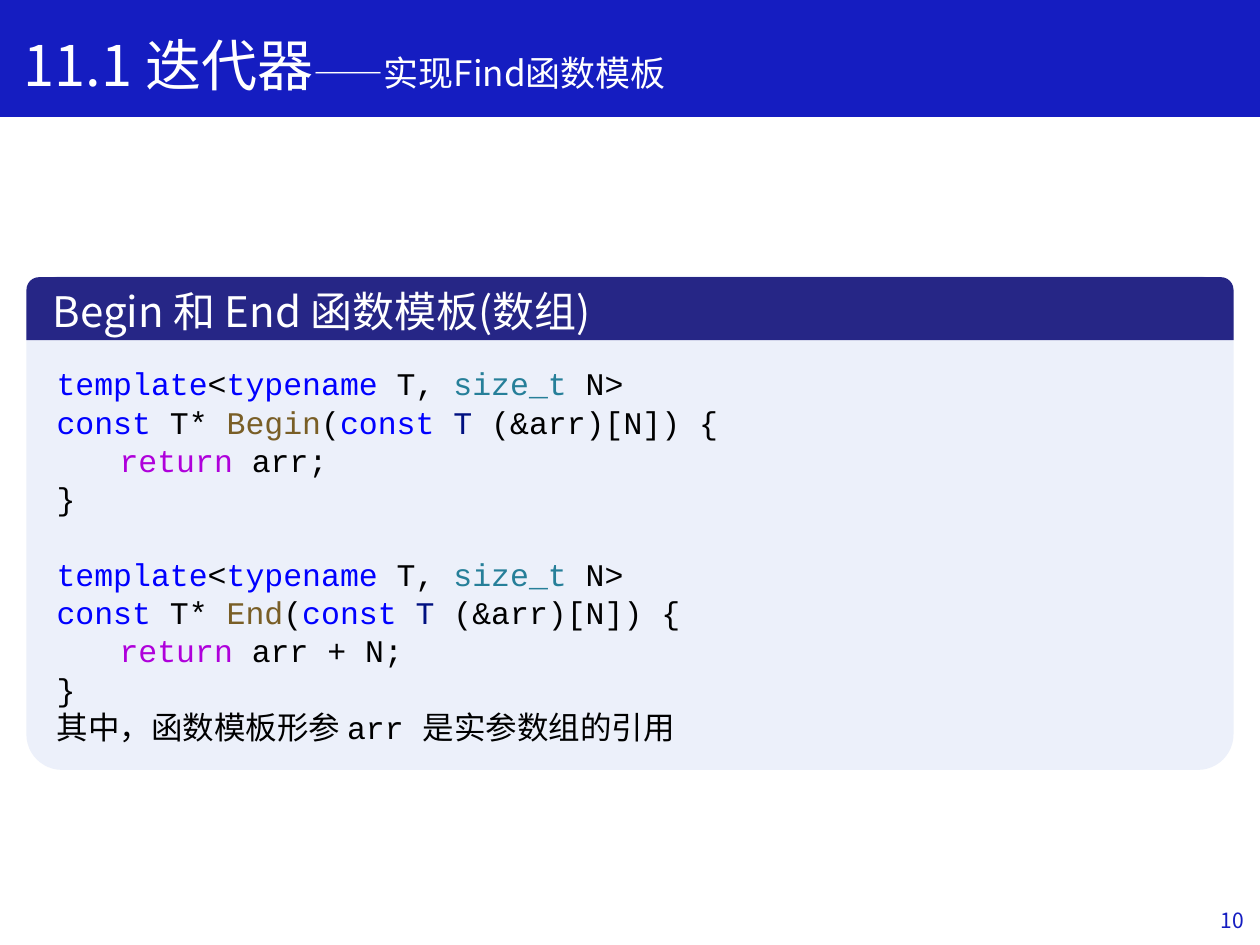
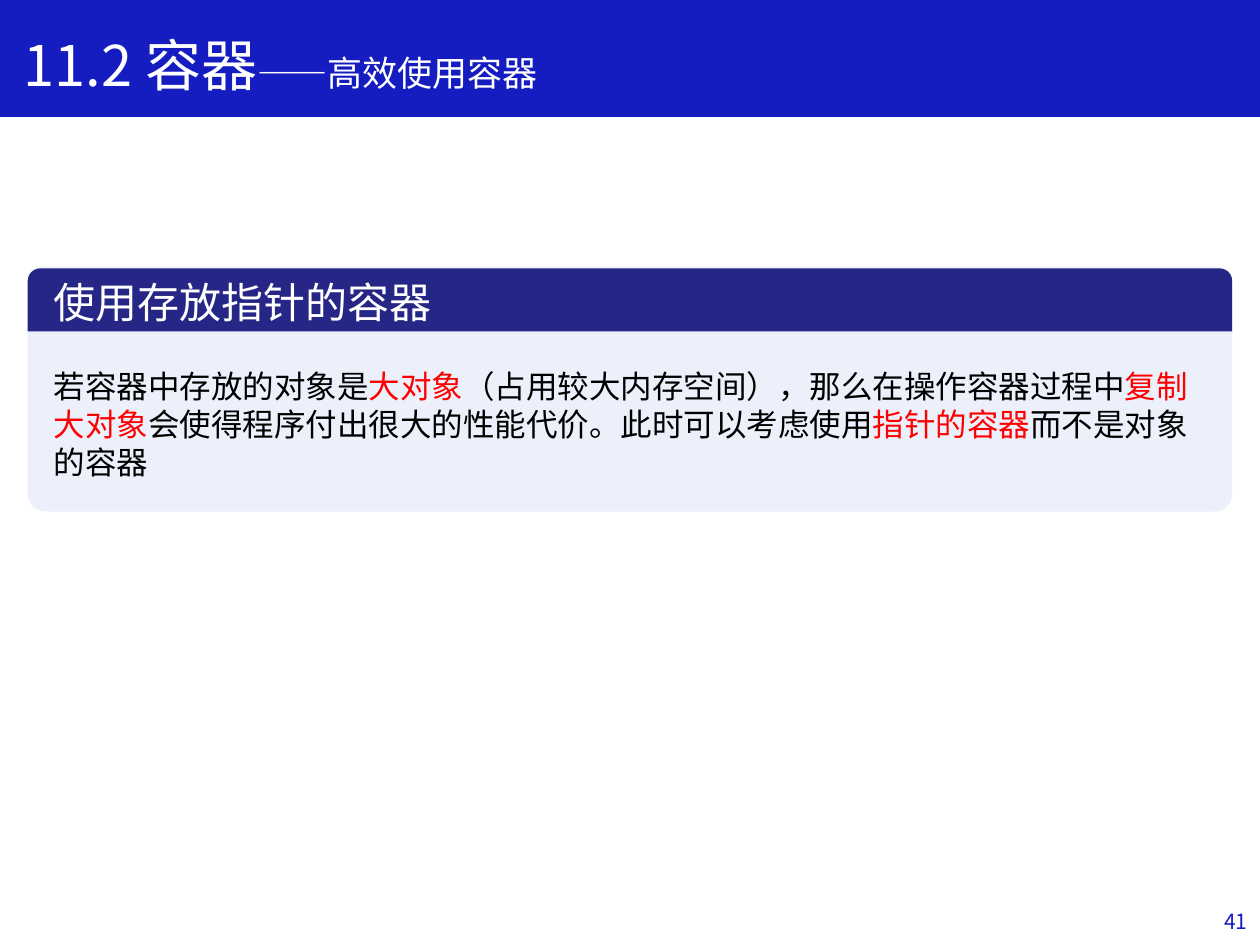
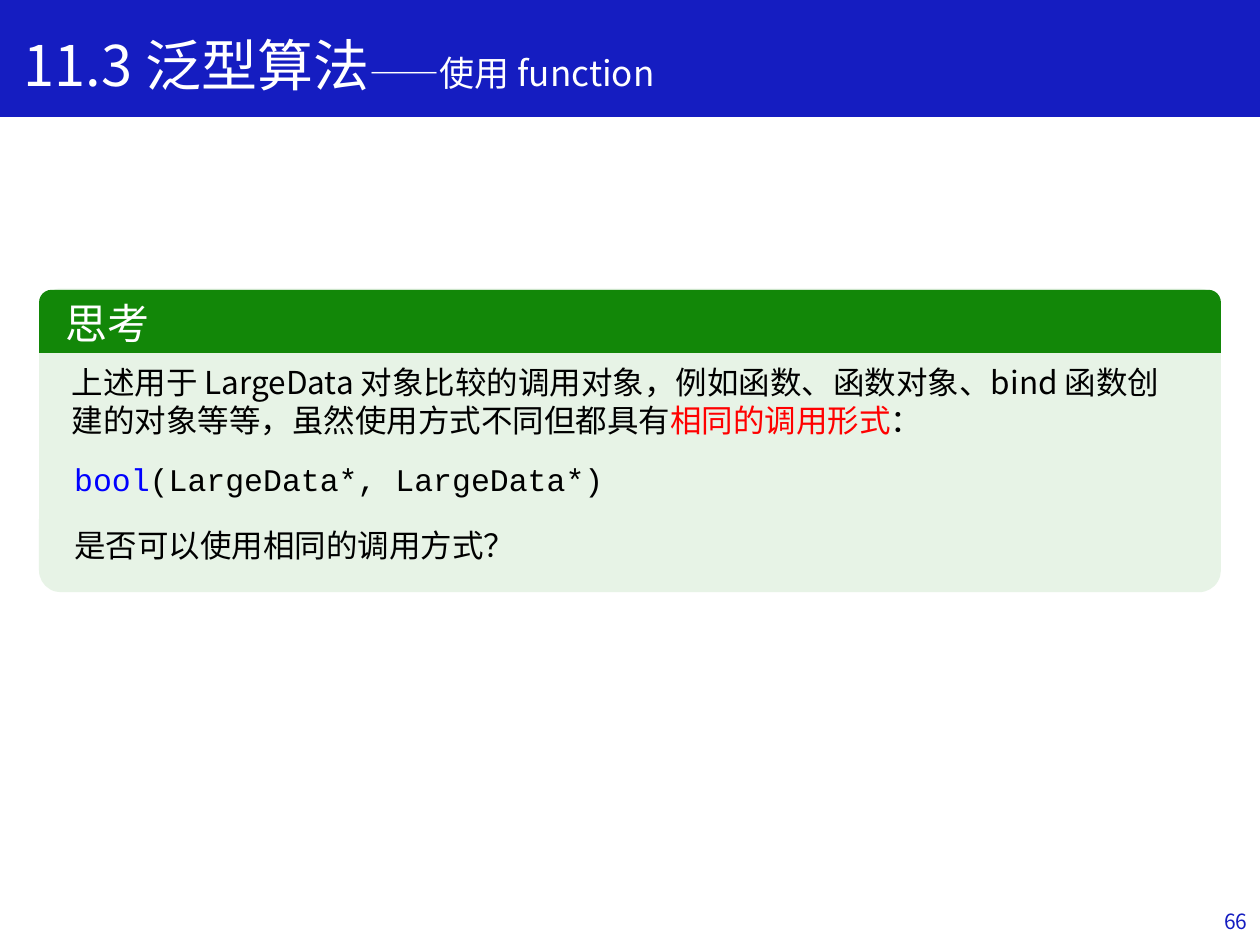
from dataclasses import dataclass

from lxml.etree import SubElement
from pptx import Presentation
from pptx.dml.color import RGBColor
from pptx.enum.shapes import MSO_SHAPE
from pptx.enum.text import MSO_ANCHOR, PP_ALIGN
from pptx.oxml.ns import qn
from pptx.util import Inches, Pt


@dataclass(frozen=True)
class Theme:
    """Colours, fonts and type sizes shared by the slides."""
    band: str = "151DC1"
    white: str = "FFFFFF"
    black: str = "000000"
    red: str = "FF0000"
    navy: str = "262686"
    pale_blue: str = "ECF0FA"
    green: str = "128708"
    pale_green: str = "E7F3E6"
    keyword: str = "0000FF"
    type_name: str = "267F99"
    function: str = "795E26"
    parameter: str = "001080"
    control: str = "AF00DB"
    sans: str = "Noto Sans CJK SC"
    mono: str = "Courier New"
    title: int = 32
    heading: int = 24
    subtitle: int = 20
    body: int = 18
    footer: int = 12
    leading: float = 1.21


T = Theme()


def add_run(p, text, size, color, font):
    """Append a formatted run, with the sans font for East Asian letters."""
    r = p.add_run()
    r.text = text
    r.font.size = Pt(size)
    r.font.name = font
    r.font.color.rgb = RGBColor.from_string(color)
    SubElement(r._r.get_or_add_rPr(), qn("a:ea"), typeface=T.sans)


def add_tab_stop(p, position):
    """Give a paragraph one left tab stop."""
    tabs = SubElement(p._p.get_or_add_pPr(), qn("a:tabLst"))
    SubElement(tabs, qn("a:tab"), pos=str(position), algn="l")


def add_text(s, lines, x, y, w, h, size=T.body, color=T.black, font=T.sans,
             align=PP_ALIGN.LEFT, anchor=MSO_ANCHOR.TOP, wrap=True, gaps=()):
    """Add a text box; a line is a list of (text, color, size) with the last two optional."""
    tf = s.shapes.add_textbox(Inches(x), Inches(y), Inches(w), Inches(h)).text_frame
    tf.word_wrap = wrap
    tf.vertical_anchor = anchor
    tf.margin_top = Inches(0.07)
    for i, line in enumerate(lines):
        p = tf.paragraphs[0] if i == 0 else tf.add_paragraph()
        p.alignment = align
        p.line_spacing = Pt(round(size * T.leading, 1))
        if i in gaps:
            p.space_before = p.line_spacing
        if line[0][0].startswith("\t"):
            add_tab_stop(p, Inches(0.5))
        for text, *style in line:
            run_color = style[0] if style else color
            run_size = style[1] if len(style) > 1 else size
            add_run(p, text, run_size, run_color, font)


def add_panel(s, kind, x, y, w, h, fill, adjustments=()):
    """Add a plain filled shape."""
    sp = s.shapes.add_shape(kind, Inches(x), Inches(y), Inches(w), Inches(h))
    sp.shadow.inherit = False
    sp.fill.solid()
    sp.fill.fore_color.rgb = RGBColor.from_string(fill)
    sp.line.fill.background()
    for i, value in enumerate(adjustments):
        sp.adjustments[i] = value
    return sp


def add_slide(prs, title, subtitle, number, number_at=(7.75, 7.1)):
    """Add a slide with its title band and page number."""
    s = prs.slides.add_slide(prs.slide_layouts[6])
    band = add_panel(s, MSO_SHAPE.RECTANGLE, 0, 0, 10, 0.92, T.band)
    band.line.color.rgb = RGBColor.from_string(T.band)
    band.line.width = Pt(1)
    add_text(s, [[(str(number),)]], *number_at, 2.25, 0.4, size=T.footer, color=T.band,
             align=PP_ALIGN.RIGHT, anchor=MSO_ANCHOR.MIDDLE)
    add_text(s, [[(title,), ("——" + subtitle, T.white, T.subtitle)]],
             0.09, 0.17, 7.44, 0.64, size=T.title, color=T.white)
    return s


def add_card(s, heading, x, y, h, head=T.navy, body=T.pale_blue):
    """Add a horizontally centred card with a coloured heading."""
    w = 10 - 2 * x
    add_panel(s, MSO_SHAPE.ROUNDED_RECTANGLE, x, y, w, h, body, [0.072])
    add_panel(s, MSO_SHAPE.ROUND_2_SAME_RECTANGLE, x, y + 0.01, w, 0.5, head, [0.2, 0])
    add_text(s, [[(heading,)]], x + 0.11, y, 8.2, 0.5, size=T.heading, color=T.white)


def array_template(name, result):
    """Return the coloured code lines of one array function template."""
    return [
        [("template", T.keyword), ("<",), ("typename", T.keyword), (" T, ",),
         ("size_t", T.type_name), (" N>",)],
        [("const", T.keyword), (" T* ",), (name, T.function), ("(",),
         ("const ", T.keyword), ("T", T.parameter), (" (&arr)[N]) {",)],
        [("\treturn ", T.control), (result + ";",)],
        [("}",)],
    ]


def build_iterators(prs):
    """Build the slide on the Begin and End templates."""
    s = add_slide(prs, "11.1 迭代器", "实现Find函数模板", 10, (7.72, 7.09))
    add_card(s, "Begin 和 End 函数模板(数组)", 0.21, 2.19, 3.92)
    begin = array_template("Begin", "arr")
    end = array_template("End", "arr + N")
    note = [("其中，函数模板形参 arr 是实参数组的引用",)]
    add_text(s, begin + end + [note], 0.35, 2.82, 7.18, 3.13,
             font=T.mono, gaps=[len(begin)])


def build_containers(prs):
    """Build the slide on containers of pointers."""
    s = add_slide(prs, "11.2 容器", "高效使用容器", 41)
    add_card(s, "使用存放指针的容器", 0.22, 2.12, 1.94)
    add_text(s, [[("若容器中存放的对象是",), ("大对象", T.red),
                  ("（占用较大内存空间），那么在操作容器过程中",), ("复制大对象", T.red),
                  ("会使得程序付出很大的性能代价。此时可以考虑使用",),
                  ("指针的容器", T.red), ("而不是对象的容器",)]],
             0.33, 2.84, 9.29, 1.01)


def build_algorithms(prs):
    """Build the slide on a shared call form."""
    s = add_slide(prs, "11.3 泛型算法", "使用 function", 66)
    add_card(s, "思考", 0.31, 2.29, 2.41, head=T.green, body=T.pale_green)
    add_text(s, [[("上述用于 LargeData 对象比较的调用对象，例如函数、函数对象、bind 函数"
                   "创建的对象等等，虽然使用方式不同但都具有",),
                  ("相同的调用形式", T.red), ("：",)]], 0.47, 2.81, 9.07, 0.71)
    add_text(s, [[("bool", T.keyword), ("(LargeData*, LargeData*)",)]],
             0.49, 3.58, 5, 0.4, font=T.mono)
    add_text(s, [[("是否可以使用相同的调用方式？",)]], 0.49, 4.1, 3.74, 0.4, wrap=False)


def main():
    """Build and save the presentation."""
    prs = Presentation()
    prs.slide_width, prs.slide_height = Inches(10), Inches(7.5)
    build_iterators(prs)
    build_containers(prs)
    build_algorithms(prs)
    prs.save("out.pptx")


if __name__ == "__main__":
    main()
